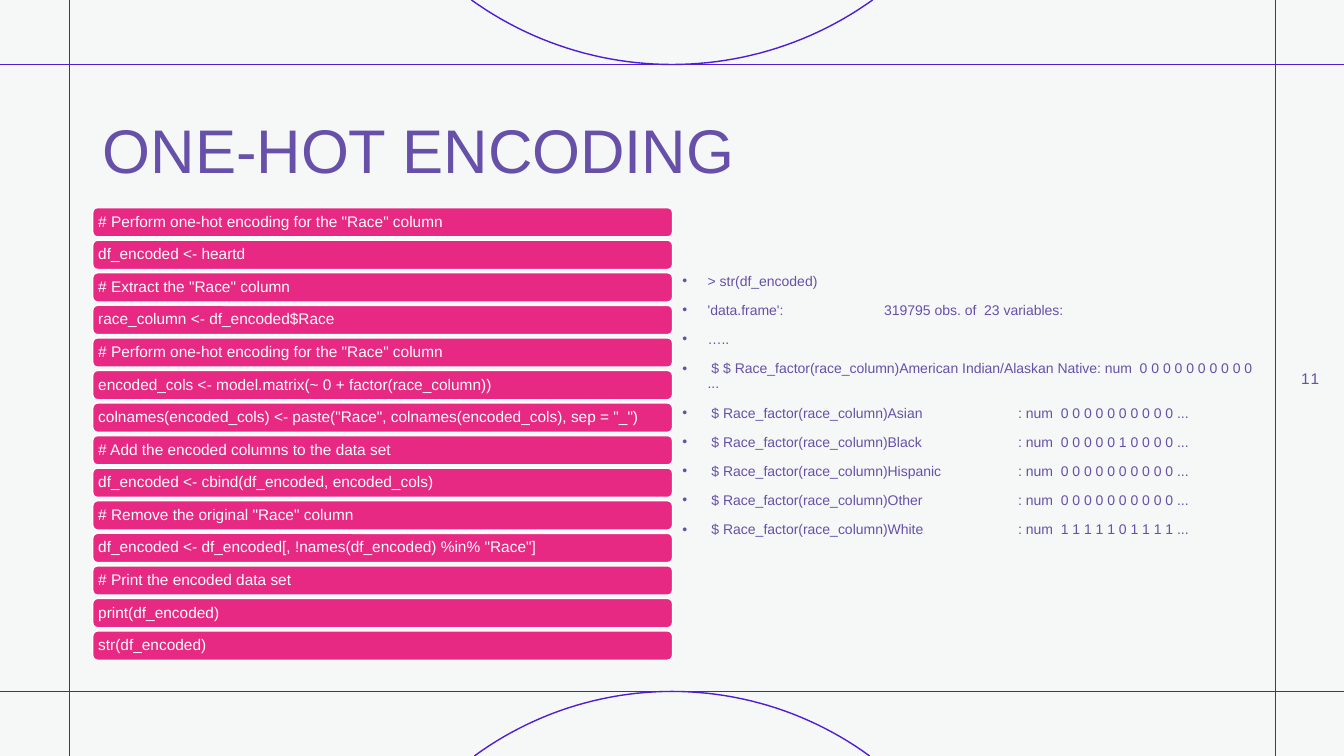
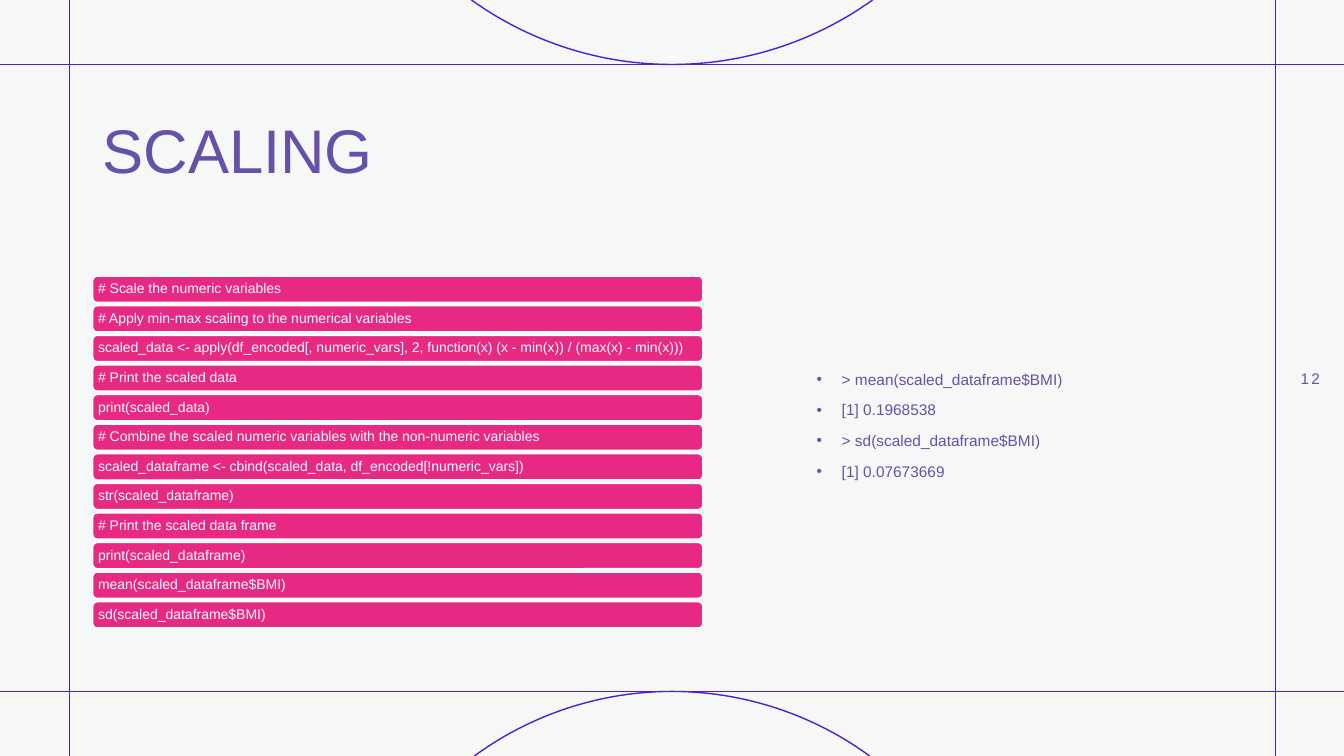
from dataclasses import dataclass
from math import asin, cos, hypot, sin

from lxml import etree
from pptx import Presentation
from pptx.dml.color import RGBColor
from pptx.enum.shapes import MSO_CONNECTOR, MSO_SHAPE
from pptx.enum.text import MSO_ANCHOR, PP_ALIGN
from pptx.oxml.ns import qn
from pptx.slide import Slide
from pptx.text.text import TextFrame
from pptx.util import Pt

PX = 9144  # EMU per px, 100 px to the inch
SLIDE_WIDTH, SLIDE_HEIGHT = 1333, 750
FRAME_LEFT, FRAME_RIGHT = 69, 1265
FRAME_TOP, FRAME_BOTTOM = 64, 686
CONTENT_LEFT = 92
BULLET_INDENT = 25
TAB_STOPS = (200, 333)
ARC_STEPS = 48

FONT = "Arial"
BACKGROUND = RGBColor(0xF6, 0xF8, 0xF7)
FRAME_LINE = RGBColor(0x50, 0x1D, 0xD6)
PURPLE = RGBColor(0x67, 0x50, 0xA9)
PINK = RGBColor(0xE7, 0x29, 0x83)
WHITE = RGBColor(0xFF, 0xFF, 0xFF)

STRAIGHT = MSO_CONNECTOR.STRAIGHT
ROUNDED_RECTANGLE = MSO_SHAPE.ROUNDED_RECTANGLE
MIDDLE = MSO_ANCHOR.MIDDLE
LEFT, CENTER = PP_ALIGN.LEFT, PP_ALIGN.CENTER


@dataclass(frozen=True)
class CodeBars:
    first_top: int
    last_top: int
    width: int
    height: int
    size: int
    lines: tuple[str, ...]


@dataclass(frozen=True)
class Output:
    left: int
    top: int
    width: int
    height: int
    size: int
    lines: tuple[str, ...]


@dataclass(frozen=True)
class CodeSlide:
    title: str
    number: int
    code: CodeBars
    output: Output


ENCODING = CodeSlide(
    "ONE-HOT ENCODING",
    11,
    CodeBars(206, 626, 575, 29, 11, (
        '# Perform one-hot encoding for the "Race" column',
        "df_encoded <- heartd",
        '# Extract the "Race" column',
        "race_column <- df_encoded$Race",
        '# Perform one-hot encoding for the "Race" column',
        "encoded_cols <- model.matrix(~ 0 + factor(race_column))",
        'colnames(encoded_cols) <- paste("Race", colnames(encoded_cols), sep = "_")',
        "# Add the encoded columns to the data set",
        "df_encoded <- cbind(df_encoded, encoded_cols)",
        '# Remove the original "Race" column',
        'df_encoded <- df_encoded[, !names(df_encoded) %in% "Race"]',
        "# Print the encoded data set",
        "print(df_encoded)",
        "str(df_encoded)",
    )),
    Output(667, 267, 585, 274, 10, (
        "> str(df_encoded)",
        "'data.frame':\t319795 obs. of  23 variables:",
        "…..",
        " $ $ Race_factor(race_column)American Indian/Alaskan Native: num  0 0 0 0 0 0 0 0 0 0 ...",
        " $ Race_factor(race_column)Asian\t: num  0 0 0 0 0 0 0 0 0 0 ...",
        " $ Race_factor(race_column)Black\t: num  0 0 0 0 0 1 0 0 0 0 ...",
        " $ Race_factor(race_column)Hispanic\t: num  0 0 0 0 0 0 0 0 0 0 ...",
        " $ Race_factor(race_column)Other\t: num  0 0 0 0 0 0 0 0 0 0 ...",
        " $ Race_factor(race_column)White\t: num  1 1 1 1 1 0 1 1 1 1 ...",
    )),
)

SCALING = CodeSlide(
    "SCALING",
    12,
    CodeBars(274, 597, 605, 26, 10, (
        "# Scale the numeric variables",
        "# Apply min-max scaling to the numerical variables",
        "scaled_data <- apply(df_encoded[, numeric_vars], 2, function(x) (x - min(x)) / (max(x) - min(x)))",
        "# Print the scaled data",
        "print(scaled_data)",
        "# Combine the scaled numeric variables with the non-numeric variables",
        "scaled_dataframe <- cbind(scaled_data, df_encoded[!numeric_vars])",
        "str(scaled_dataframe)",
        "# Print the scaled data frame",
        "print(scaled_dataframe)",
        "mean(scaled_dataframe$BMI)",
        "sd(scaled_dataframe$BMI)",
    )),
    Output(800, 364, 428, 149, 11, (
        "> mean(scaled_dataframe$BMI)",
        "[1] 0.1968538",
        "> sd(scaled_dataframe$BMI)",
        "[1] 0.07673669",
    )),
)


def px(length: float) -> int:
    return round(length * PX)


def style_paragraph(paragraph, size: int, color: RGBColor, align=LEFT) -> None:
    paragraph.alignment = align
    paragraph.font.name = FONT
    paragraph.font.size = Pt(size)
    paragraph.font.color.rgb = color


def add_text_frame(slide: Slide, left: int, top: int, width: int, height: int) -> TextFrame:
    text_box = slide.shapes.add_textbox(px(left), px(top), px(width), px(height))
    text_box.text_frame.word_wrap = True
    return text_box.text_frame


def add_frame_line(slide: Slide, x1: int, y1: int, x2: int, y2: int) -> None:
    line = slide.shapes.add_connector(STRAIGHT, px(x1), px(y1), px(x2), px(y2))
    line.line.color.rgb = FRAME_LINE
    line.line.width = Pt(1)
    etree.SubElement(line.element.spPr, qn("a:effectLst"))


def add_arc(slide: Slide, edge_y: int, apex_y: int, half_width: int) -> None:
    """Draw the circle segment that leaves the slide at edge_y and touches apex_y."""
    depth = apex_y - edge_y
    radius = hypot(half_width, depth) ** 2 / (2 * abs(depth))
    center_y = apex_y - radius * (1 if depth > 0 else -1)
    half_angle = asin(half_width / radius)
    angles = [half_angle * (2 * step / ARC_STEPS - 1) for step in range(ARC_STEPS + 1)]
    points = [
        (px(SLIDE_WIDTH / 2 + radius * sin(angle)),
         px(center_y + (apex_y - center_y) * cos(angle)))
        for angle in angles
    ]
    builder = slide.shapes.build_freeform(*points[0])
    builder.add_line_segments(points[1:], close=False)
    arc = builder.convert_to_shape()
    arc.shadow.inherit = False
    arc.fill.background()
    arc.line.color.rgb = FRAME_LINE
    arc.line.width = Pt(1)


def add_frame(slide: Slide) -> None:
    slide.background.fill.solid()
    slide.background.fill.fore_color.rgb = BACKGROUND
    for y in (FRAME_BOTTOM, FRAME_TOP):
        add_frame_line(slide, 0, y, SLIDE_WIDTH, y)
    for x in (FRAME_RIGHT, FRAME_LEFT):
        add_frame_line(slide, x, SLIDE_HEIGHT, x, 0)
    add_arc(slide, 0, FRAME_TOP, 199)
    add_arc(slide, SLIDE_HEIGHT, FRAME_BOTTOM, 196)


def add_title(slide: Slide, title: str) -> None:
    text_frame = add_text_frame(slide, CONTENT_LEFT, 80, 1150, 145)
    text_frame.vertical_anchor = MIDDLE
    text_frame.text = title
    paragraph = text_frame.paragraphs[0]
    paragraph.line_spacing = 0.9
    style_paragraph(paragraph, 44, PURPLE)


def add_slide_number(slide: Slide, number: int) -> None:
    text_frame = add_text_frame(slide, FRAME_RIGHT, 355, 69, 40)
    text_frame.vertical_anchor = MIDDLE
    paragraph = text_frame.paragraphs[0]
    run = paragraph.add_run()
    run.text = str(number)
    run._r.get_or_add_rPr().set("spc", "150")
    style_paragraph(paragraph, 11, PURPLE, CENTER)


def add_code_bars(slide: Slide, code: CodeBars) -> None:
    pitch = (code.last_top - code.first_top) / (len(code.lines) - 1)
    for index, line in enumerate(code.lines):
        bar = slide.shapes.add_shape(
            ROUNDED_RECTANGLE, px(CONTENT_LEFT), px(code.first_top + index * pitch),
            px(code.width), px(code.height),
        )
        bar.shadow.inherit = False
        bar.fill.solid()
        bar.fill.fore_color.rgb = PINK
        bar.line.color.rgb = WHITE
        bar.line.width = Pt(1)
        text_frame = bar.text_frame
        text_frame.word_wrap = True
        text_frame.vertical_anchor = MIDDLE
        text_frame.margin_left = text_frame.margin_right = px(4)
        text_frame.margin_top = text_frame.margin_bottom = px(4)
        text_frame.text = line
        paragraph = text_frame.paragraphs[0]
        paragraph.line_spacing = 0.9
        style_paragraph(paragraph, code.size, WHITE)


def add_bullet(paragraph) -> None:
    """Give the paragraph a hanging bullet and the tab stops of the output columns."""
    properties = paragraph._p.get_or_add_pPr()
    properties.set("marL", str(px(BULLET_INDENT)))
    properties.set("indent", str(-px(BULLET_INDENT)))
    etree.SubElement(properties, qn("a:buFont"), typeface=FONT)
    etree.SubElement(properties, qn("a:buChar"), char="•")
    tab_list = etree.SubElement(properties, qn("a:tabLst"))
    for stop in TAB_STOPS:
        etree.SubElement(tab_list, qn("a:tab"), pos=str(px(stop)), algn="l")


def add_output(slide: Slide, output: Output) -> None:
    text_frame = add_text_frame(slide, output.left, output.top, output.width, output.height)
    text_frame.text = "\n".join(output.lines)
    for paragraph in text_frame.paragraphs:
        paragraph.line_spacing = 0.9
        paragraph.space_before = Pt(10)
        add_bullet(paragraph)
        style_paragraph(paragraph, output.size, PURPLE)


def add_code_slide(presentation, content: CodeSlide) -> None:
    slide = presentation.slides.add_slide(presentation.slide_layouts[6])
    add_frame(slide)
    add_title(slide, content.title)
    add_code_bars(slide, content.code)
    add_slide_number(slide, content.number)
    add_output(slide, content.output)


def main() -> None:
    presentation = Presentation()
    presentation.slide_width = px(SLIDE_WIDTH)
    presentation.slide_height = px(SLIDE_HEIGHT)
    for content in (ENCODING, SCALING):
        add_code_slide(presentation, content)
    presentation.save("out.pptx")


if __name__ == "__main__":
    main()
